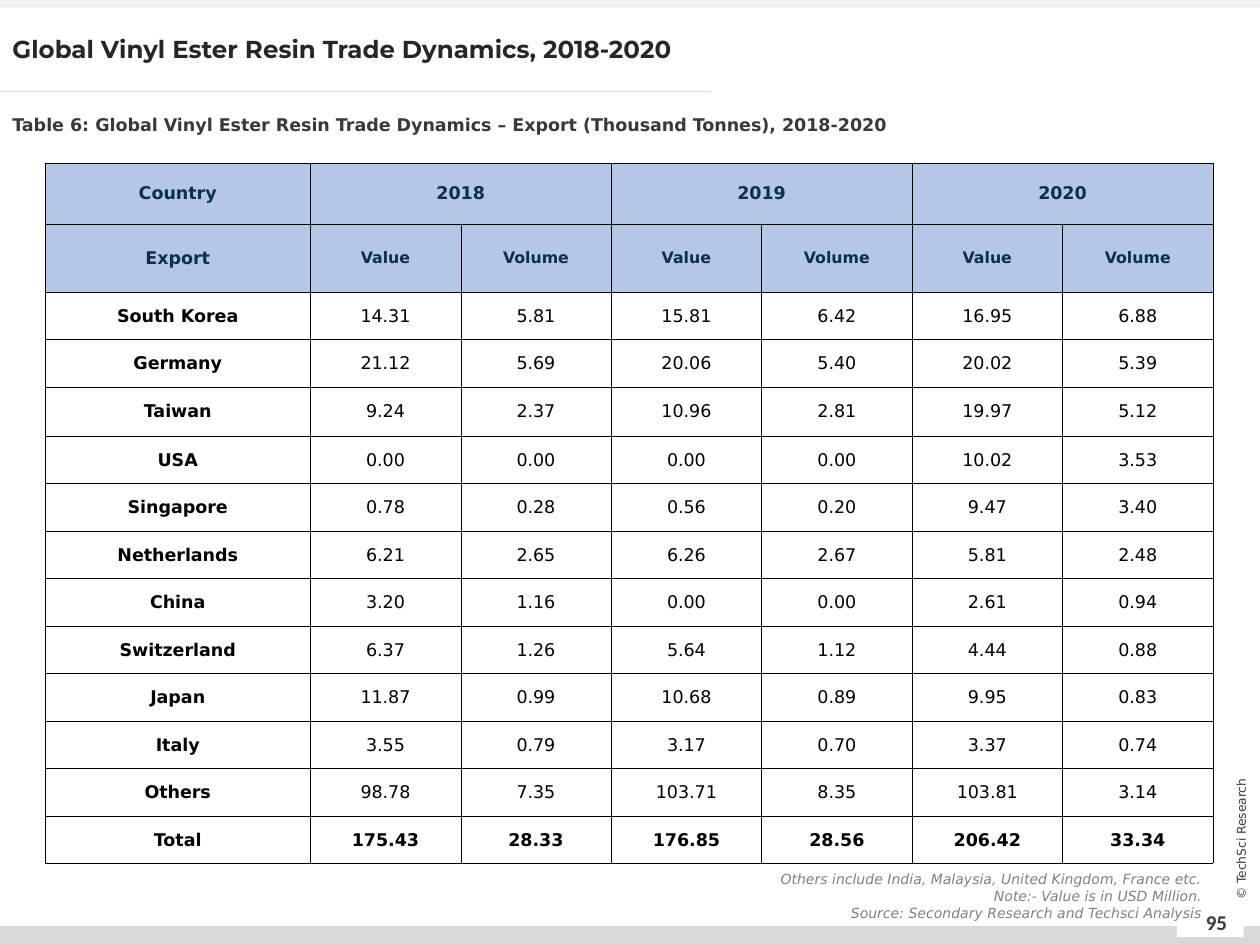
"""Build the vinyl ester resin export table slide."""
import pptx
import pptx.dml.color
import pptx.enum.shapes
import pptx.enum.text
import pptx.oxml
import pptx.oxml.ns
import pptx.util

Pt = pptx.util.Pt
ALIGN = pptx.enum.text.PP_ALIGN
ANCHOR = pptx.enum.text.MSO_ANCHOR

COLORS = {
    "bar": "D9D9D9", "top_bar": "F2F2F2", "white": "FFFFFF", "black": "000000",
    "header": "B4C7E7", "header_text": "0B3049", "dark": "3B3838",
    "title": "262626", "note": "808080",
}
BODY_FONT = "DejaVu Sans"

YEARS = ["2018", "2019", "2020"]
MEASURES = ["Value", "Volume"]
EXPORTS = [
    ("South Korea", "14.31", "5.81", "15.81", "6.42", "16.95", "6.88"),
    ("Germany", "21.12", "5.69", "20.06", "5.40", "20.02", "5.39"),
    ("Taiwan", "9.24", "2.37", "10.96", "2.81", "19.97", "5.12"),
    ("USA", "0.00", "0.00", "0.00", "0.00", "10.02", "3.53"),
    ("Singapore", "0.78", "0.28", "0.56", "0.20", "9.47", "3.40"),
    ("Netherlands", "6.21", "2.65", "6.26", "2.67", "5.81", "2.48"),
    ("China", "3.20", "1.16", "0.00", "0.00", "2.61", "0.94"),
    ("Switzerland", "6.37", "1.26", "5.64", "1.12", "4.44", "0.88"),
    ("Japan", "11.87", "0.99", "10.68", "0.89", "9.95", "0.83"),
    ("Italy", "3.55", "0.79", "3.17", "0.70", "3.37", "0.74"),
    ("Others", "98.78", "7.35", "103.71", "8.35", "103.81", "3.14"),
    ("Total", "175.43", "28.33", "176.85", "28.56", "206.42", "33.34"),
]
BARS = [
    ("bar", (0, 529.2, 720, 10.8)),
    ("white", (672.5, 519.8, 38.2, 15.8)),
    ("top_bar", (0, 0, 720, 4.3)),
]
TEXTS = [
    {"lines": ["95"], "box": (677.5, 512.6, 35.3, 28.8),
     "font": {"size": Pt(12), "name": "Calibri", "bold": True}, "color": "dark",
     "paragraph": {"alignment": ALIGN.CENTER}, "anchor": ANCHOR.MIDDLE},
    {"lines": ["© TechSci Research"], "box": (666, 473.8, 86.4, 11.5), "rotation": 270,
     "font": {"size": Pt(7), "name": BODY_FONT}, "color": "dark",
     "paragraph": {"alignment": ALIGN.CENTER}, "anchor": ANCHOR.MIDDLE},
    {"lines": ["Others include India, Malaysia, United Kingdom, France etc.",
               "Note:- Value is in USD Million.",
               "Source: Secondary Research and Techsci Analysis"],
     "box": (432, 493.9, 262, 46),
     "font": {"size": Pt(8), "name": BODY_FONT, "italic": True}, "color": "note",
     "paragraph": {"alignment": ALIGN.RIGHT}},
    {"lines": ["Table 6: Global Vinyl Ester Resin Trade Dynamics – Export "
               "(Thousand Tonnes), 2018-2020"],
     "box": (0, 55.4, 693.4, 23),
     "font": {"size": Pt(10), "name": BODY_FONT, "bold": True}, "color": "dark",
     "paragraph": {"line_spacing": 1.5}},
    {"lines": ["Global Vinyl Ester Resin Trade Dynamics, 2018-2020"],
     "box": (0, 18, 558, 36),
     "font": {"size": Pt(14), "name": "Montserrat", "bold": True}, "color": "title",
     "paragraph": {"line_spacing": 0.9}},
]
TABLE_ORIGIN = (25.8, 93)
COLUMN_WIDTHS = [151.5] + [86] * len(YEARS) * len(MEASURES)
ROW_HEIGHTS = [34.9, 38.9] + [28.1 if row[0] == "Taiwan" else 27.15 for row in EXPORTS]
CELL_FORMAT = {
    "margin_left": Pt(0.7), "margin_right": Pt(0.7), "margin_top": Pt(0.7),
    "margin_bottom": Pt(0), "vertical_anchor": ANCHOR.MIDDLE,
}


def rgb(name):
    return pptx.dml.color.RGBColor.from_string(COLORS[name])


def apply(target, values):
    for attribute, value in values.items():
        setattr(target, attribute, value)


def write(paragraph, text, font, color, paragraph_format):
    apply(paragraph, paragraph_format)
    run = paragraph.add_run()
    run.text = text
    apply(run.font, font)
    run.font.color.rgb = rgb(color)


def add_bar(slide, color, box):
    shape = slide.shapes.add_shape(pptx.enum.shapes.MSO_SHAPE.RECTANGLE, *map(Pt, box))
    shape.shadow.inherit = False
    shape.fill.solid()
    shape.fill.fore_color.rgb = rgb(color)
    shape.line.fill.background()


def add_rule(slide):
    rule = slide.shapes.add_connector(
        pptx.enum.shapes.MSO_CONNECTOR.STRAIGHT, Pt(0), Pt(52), Pt(406.5), Pt(52))
    rule.line.color.rgb = rgb("bar")
    rule.line.width = Pt(0.5)
    properties = rule._element.spPr
    properties.append(properties.makeelement(pptx.oxml.ns.qn("a:effectLst"), {}))


def add_text(slide, item):
    shape = slide.shapes.add_textbox(*map(Pt, item["box"]))
    shape.rotation = item.get("rotation", 0)
    frame = shape.text_frame
    frame.word_wrap = True
    frame.vertical_anchor = item.get("anchor", ANCHOR.TOP)
    for index, line in enumerate(item["lines"]):
        paragraph = frame.add_paragraph() if index else frame.paragraphs[0]
        write(paragraph, line, item["font"], item["color"], item["paragraph"])


def add_borders(cell):
    properties = cell._tc.get_or_add_tcPr()
    for side in ("lnL", "lnR", "lnT", "lnB"):
        properties.append(pptx.oxml.parse_xml(
            f'<a:{side} {pptx.oxml.ns.nsdecls("a")} w="{Pt(0.25)}"><a:solidFill>'
            f'<a:srgbClr val="{COLORS["black"]}"/></a:solidFill></a:{side}>'))


def add_export_table(slide):
    year_row = ["Country"] + [text for year in YEARS for text in (year, "")]
    rows = [year_row, ["Export"] + MEASURES * len(YEARS)] + EXPORTS
    size = (sum(COLUMN_WIDTHS), sum(ROW_HEIGHTS))
    table = slide.shapes.add_table(
        len(rows), len(COLUMN_WIDTHS), *map(Pt, TABLE_ORIGIN + size)).table
    apply(table, {"first_row": False, "horz_banding": False})
    for column, width in zip(table.columns, COLUMN_WIDTHS):
        column.width = Pt(width)
    for row, height in zip(table.rows, ROW_HEIGHTS):
        row.height = Pt(height)
    for first in range(1, len(COLUMN_WIDTHS), len(MEASURES)):
        table.cell(0, first).merge(table.cell(0, first + len(MEASURES) - 1))
    for row_index, row in enumerate(rows):
        header = row_index < 2
        for column_index, text in enumerate(row):
            cell = table.cell(row_index, column_index)
            apply(cell, CELL_FORMAT)
            add_borders(cell)
            cell.fill.solid()
            cell.fill.fore_color.rgb = rgb("header" if header else "white")
            if text:
                font = {
                    "name": BODY_FONT,
                    "size": Pt(9 if text in MEASURES else 10),
                    "bold": header or column_index == 0 or row[0] == "Total",
                }
                write(cell.text_frame.paragraphs[0], text, font,
                      "header_text" if header else "black", {"alignment": ALIGN.CENTER})


def main():
    presentation = pptx.Presentation()
    apply(presentation, {"slide_width": Pt(720), "slide_height": Pt(540)})
    slide = presentation.slides.add_slide(presentation.slide_layouts[6])
    for color, box in BARS:
        add_bar(slide, color, box)
    add_rule(slide)
    add_export_table(slide)
    for item in TEXTS:
        add_text(slide, item)
    presentation.save("out.pptx")


if __name__ == "__main__":
    main()
